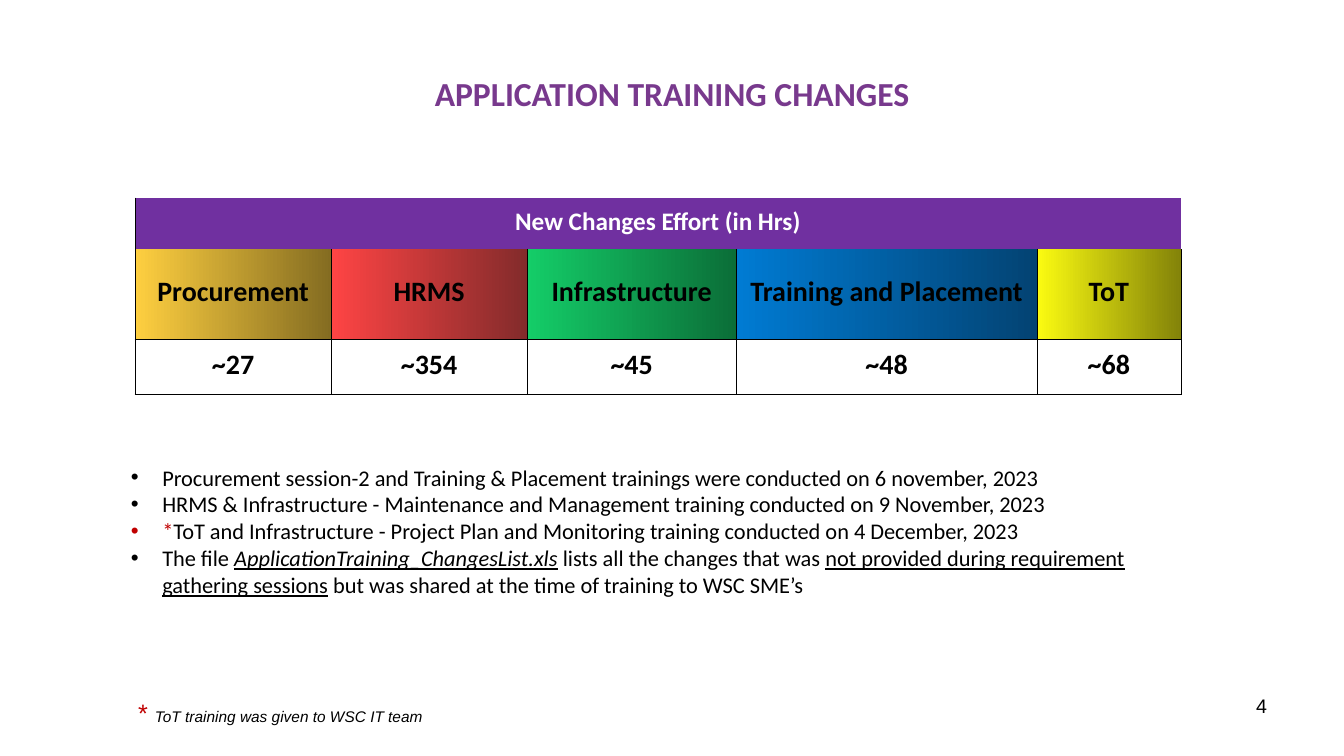
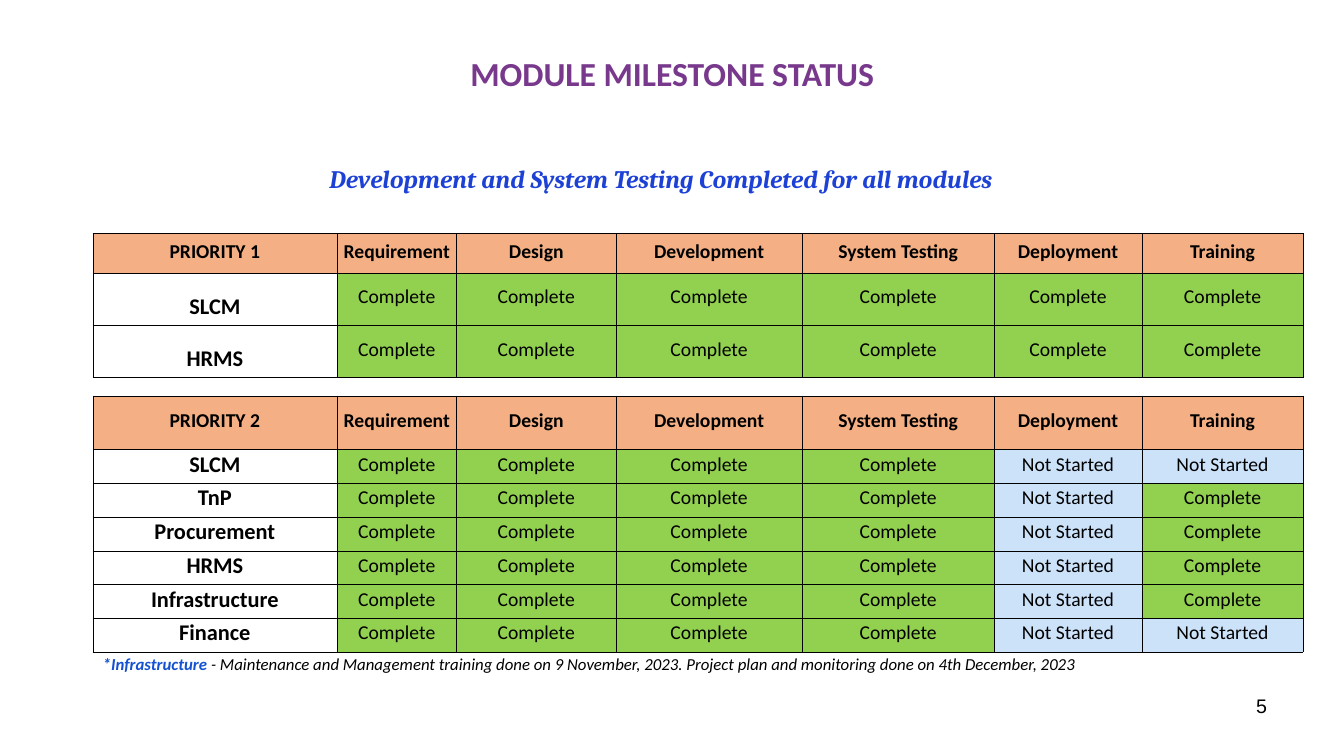
import pptx
import pptx.dml.color
import pptx.enum.text
import pptx.oxml.ns
import pptx.util
from lxml import etree
from pptx.dml.color import RGBColor
from pptx.util import Cm

BLACK = RGBColor(0x00, 0x00, 0x00)
WHITE = RGBColor(0xFF, 0xFF, 0xFF)
TITLE_PURPLE = RGBColor(0x78, 0x39, 0x8D)
HEADER_PURPLE = RGBColor(0x70, 0x30, 0xA0)
RED = RGBColor(0xC0, 0x00, 0x00)
NOTE_BLUE = RGBColor(0x15, 0x52, 0xD1)
SUBTITLE_BLUE = RGBColor(0x1D, 0x41, 0xD5)
ORANGE = RGBColor(0xF4, 0xB0, 0x84)
GREEN = RGBColor(0x92, 0xD0, 0x50)
PALE_BLUE = RGBColor(0xCB, 0xE2, 0xF9)
GOLD_FADE = (RGBColor(0xFE, 0xCF, 0x40), RGBColor(0x84, 0x6C, 0x21))
RED_FADE = (RGBColor(0xFE, 0x44, 0x44), RGBColor(0x83, 0x2B, 0x2B))
GREEN_FADE = (RGBColor(0x14, 0xCD, 0x68), RGBColor(0x0B, 0x6E, 0x38))
BLUE_FADE = (RGBColor(0x00, 0x7B, 0xD3), RGBColor(0x03, 0x43, 0x73))
YELLOW_FADE = (RGBColor(0xFB, 0xFB, 0x11), RGBColor(0x83, 0x83, 0x09))

ALIGN = pptx.enum.text.PP_ALIGN
ANCHOR = pptx.enum.text.MSO_ANCHOR
qn = pptx.oxml.ns.qn
NO_TABLE_STYLE = "{2D5ABB26-0587-4C30-8999-92F81FD0307C}"


def write(frame, paragraphs, align=ALIGN.LEFT, bullet=None, **base):
    """Fill a text frame; a paragraph is a string or a list of (text, format changes)."""
    frame.word_wrap = True
    for index, content in enumerate(paragraphs):
        para = frame.add_paragraph() if index else frame.paragraphs[0]
        para.alignment = align
        if bullet:
            properties = para._p.get_or_add_pPr()
            properties.set("marL", str(Cm(0.79)))
            properties.set("indent", str(-Cm(0.79)))
            etree.SubElement(properties, qn("a:buFont"), typeface="Arial")
            etree.SubElement(properties, qn("a:buChar"), char=bullet)
        spans = [(content, {})] if isinstance(content, str) else content
        for text, changes in spans:
            look = {"font": "Calibri", "color": BLACK, **base, **changes}
            span = para.add_run()
            span.text = text
            span.font.name = look["font"]
            span.font.size = pptx.util.Pt(look["size"])
            span.font.color.rgb = look["color"]
            span.font.bold = look.get("bold", False)
            span.font.italic = look.get("italic", False)
            span.font.underline = look.get("underline", False)


def add_grid(page, left, top, widths, heights, rows):
    """Add a table; each cell is (text, fill, border sides, anchor, format)."""
    frame = page.shapes.add_table(len(heights), len(widths), Cm(left), Cm(top),
                                  Cm(sum(widths)), Cm(sum(heights)))
    table = frame.table
    table.first_row = table.horz_banding = False
    table._tbl.tblPr.find(qn("a:tableStyleId")).text = NO_TABLE_STYLE
    for column, width in zip(table.columns, widths):
        column.width = Cm(width)
    for row, height in zip(table.rows, heights):
        row.height = Cm(height)
    for row, contents in zip(table.rows, rows):
        for cell, (text, fill, sides, anchor, look) in zip(row.cells, contents):
            cell.margin_left = cell.margin_right = cell.margin_top = Cm(0.03)
            cell.margin_bottom = Cm(0.13)
            cell.vertical_anchor = anchor
            for side in sides:
                line = etree.SubElement(cell._tc.get_or_add_tcPr(), qn("a:ln" + side),
                                        w=str(pptx.util.Pt(0.5)))
                paint = etree.SubElement(line, qn("a:solidFill"))
                etree.SubElement(paint, qn("a:srgbClr"), val=str(BLACK))
            if fill is None:
                cell.fill.background()
            elif isinstance(fill, RGBColor):
                cell.fill.solid()
                cell.fill.fore_color.rgb = fill
            else:
                cell.fill.gradient()
                cell.fill.gradient_angle = 0
                for stop, color in zip(cell.fill.gradient_stops, fill):
                    stop.color.rgb = color
            write(cell.text_frame, [text], align=ALIGN.CENTER, **look)
    return table


deck = pptx.Presentation()
deck.slide_width = Cm(33.87)
deck.slide_height = Cm(19.05)
training_page, status_page = [deck.slides.add_slide(deck.slide_layouts[6]) for _ in range(2)]

# Titles and page numbers
for page, title, height, number in [
    (training_page, "APPLICATION TRAINING CHANGES", 3.18, "4"),
    (status_page, "MODULE MILESTONE STATUS", 2.16, "5"),
]:
    box = page.shapes.add_textbox(Cm(1.7), Cm(0.76), Cm(30.48), Cm(height))
    box.text_frame.vertical_anchor = ANCHOR.MIDDLE
    write(box.text_frame, [title], align=ALIGN.CENTER, size=24, color=TITLE_PURPLE, bold=True)
    box = page.shapes.add_textbox(Cm(24.28), Cm(17.35), Cm(7.9), Cm(1.32))
    write(box.text_frame, [number], align=ALIGN.RIGHT, size=14, font="Arial")

# Training effort table
efforts = [
    ("Procurement", GOLD_FADE, "~27"),
    ("HRMS", RED_FADE, "~354"),
    ("Infrastructure", GREEN_FADE, "~45"),
    ("Training and Placement", BLUE_FADE, "~48"),
    ("ToT", YELLOW_FADE, "~68"),
]
effort_look = {"size": 20, "bold": True}
effort_table = add_grid(
    training_page, 3.4, 4.98, [4.95, 4.93, 5.28, 7.57, 3.63], [1.3, 2.26, 1.4],
    [
        [("New Changes Effort (in Hrs)", HEADER_PURPLE, "L", ANCHOR.MIDDLE,
          {"size": 18, "bold": True, "color": WHITE})],
        [(name, fade, "LRB", ANCHOR.MIDDLE, effort_look) for name, fade, _ in efforts],
        [(hours, None, "LRTB", ANCHOR.MIDDLE, effort_look) for _, _, hours in efforts],
    ])
effort_table.cell(0, 0).merge(effort_table.cell(0, 4))

# Milestone tables
milestones = ["Requirement", "Design", "Development", "System Testing", "Deployment", "Training"]
status_fills = {"Complete": GREEN, "Not Started": PALE_BLUE}
done, waiting = status_fills
for heading, top, heights, modules in [
    ("PRIORITY 2", 9.98, [1.35] + [0.85] * 6, [
        ("SLCM", waiting, waiting),
        ("TnP", waiting, done),
        ("Procurement", waiting, done),
        ("HRMS", waiting, done),
        ("Infrastructure", waiting, done),
        ("Finance", waiting, waiting),
    ]),
    ("PRIORITY 1", 5.89, [0.99, 1.32, 1.32], [
        ("SLCM", done, done),
        ("HRMS", done, done),
    ]),
]:
    rows = [[(label, ORANGE, "LRTB", ANCHOR.MIDDLE, {"size": 14, "bold": True})
             for label in [heading] + milestones]]
    for module, deployment, training in modules:
        statuses = [done] * 4 + [deployment, training]
        rows.append(
            [(module, None, "LRTB", ANCHOR.BOTTOM, {"size": 16, "bold": True})]
            + [(status, status_fills[status], "LRTB", ANCHOR.MIDDLE, {"size": 14})
               for status in statuses])
    add_grid(status_page, 2.34, top, [6.15, 3.02, 4.01, 4.7, 4.83, 3.73, 4.06], heights, rows)

# Bullets, footnotes and subtitle
for page, left, top, width, height, paragraphs, look in [
    (training_page, 3.05, 11.56, 27.79, 4.19, [
        "Procurement session-2 and Training & Placement trainings were conducted on 6 november, 2023",
        "HRMS & Infrastructure - Maintenance and Management training conducted on 9 November, 2023",
        [("*", {"color": RED}),
         ("ToT and Infrastructure - Project Plan and Monitoring training conducted on "
          "4 December, 2023", {})],
        [("The file ", {}),
         ("ApplicationTraining_ChangesList.xls", {"italic": True, "underline": True}),
         (" lists all the changes that was ", {}),
         ("not provided during requirement gathering sessions", {"underline": True}),
         (" but was shared at the time of training to WSC SME’s", {})],
    ], {"size": 16, "bullet": "•"}),
    (training_page, 3.23, 17.45, 26.34, 1.02, [
        [("* ", {"size": 18, "color": RED}),
         ("ToT training was given to WSC IT team", {"italic": True})],
    ], {"size": 11, "font": "Arial"}),
    (status_page, 2.34, 16.36, 30.76, 0.71, [
        [("*Infrastructure", {"color": NOTE_BLUE, "bold": True}),
         (" - Maintenance and Management training done on 9 November, 2023. "
          "Project plan and monitoring done on 4th December, 2023", {})],
    ], {"size": 12, "italic": True}),
    (status_page, 5.1, 3.99, 23.11, 1.02,
     ["Development and System Testing Completed for all modules"],
     {"size": 18, "font": "Cambria", "color": SUBTITLE_BLUE, "bold": True, "italic": True,
      "align": ALIGN.CENTER}),
]:
    box = page.shapes.add_textbox(Cm(left), Cm(top), Cm(width), Cm(height))
    write(box.text_frame, paragraphs, **look)

deck.save("out.pptx")
